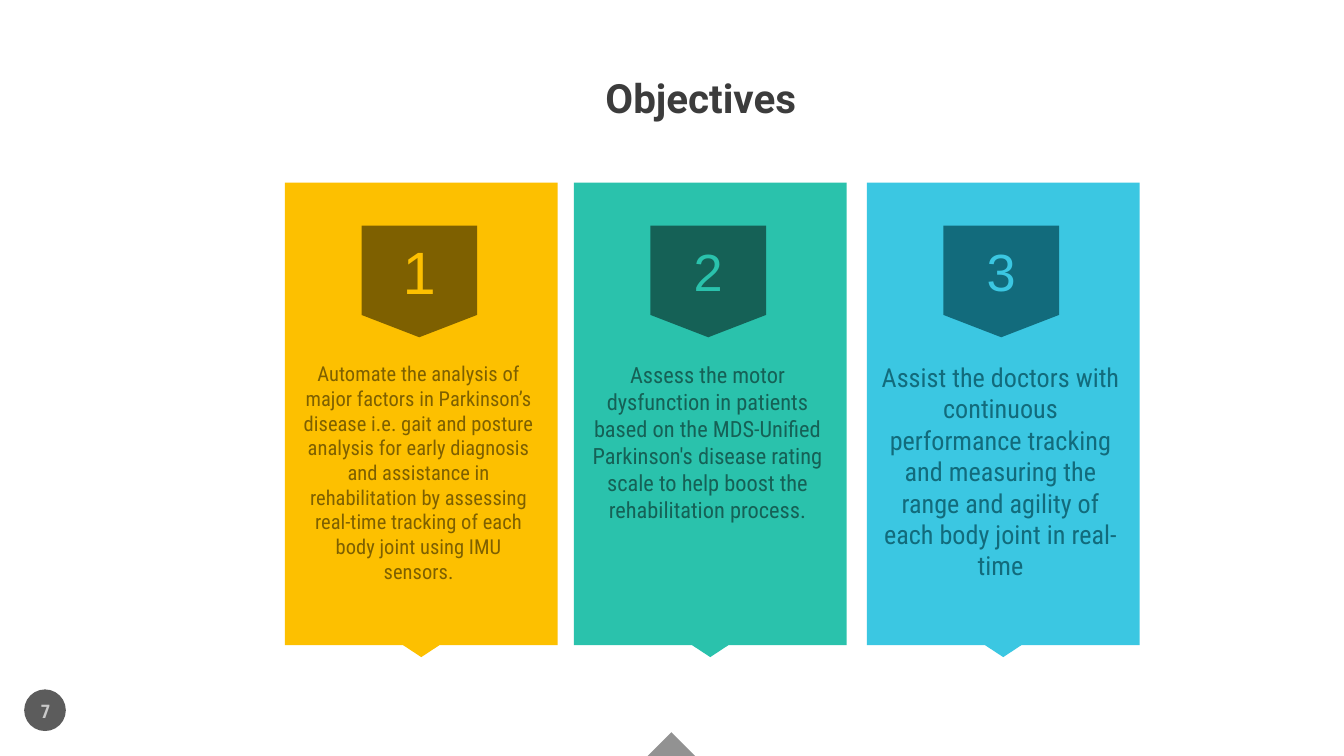
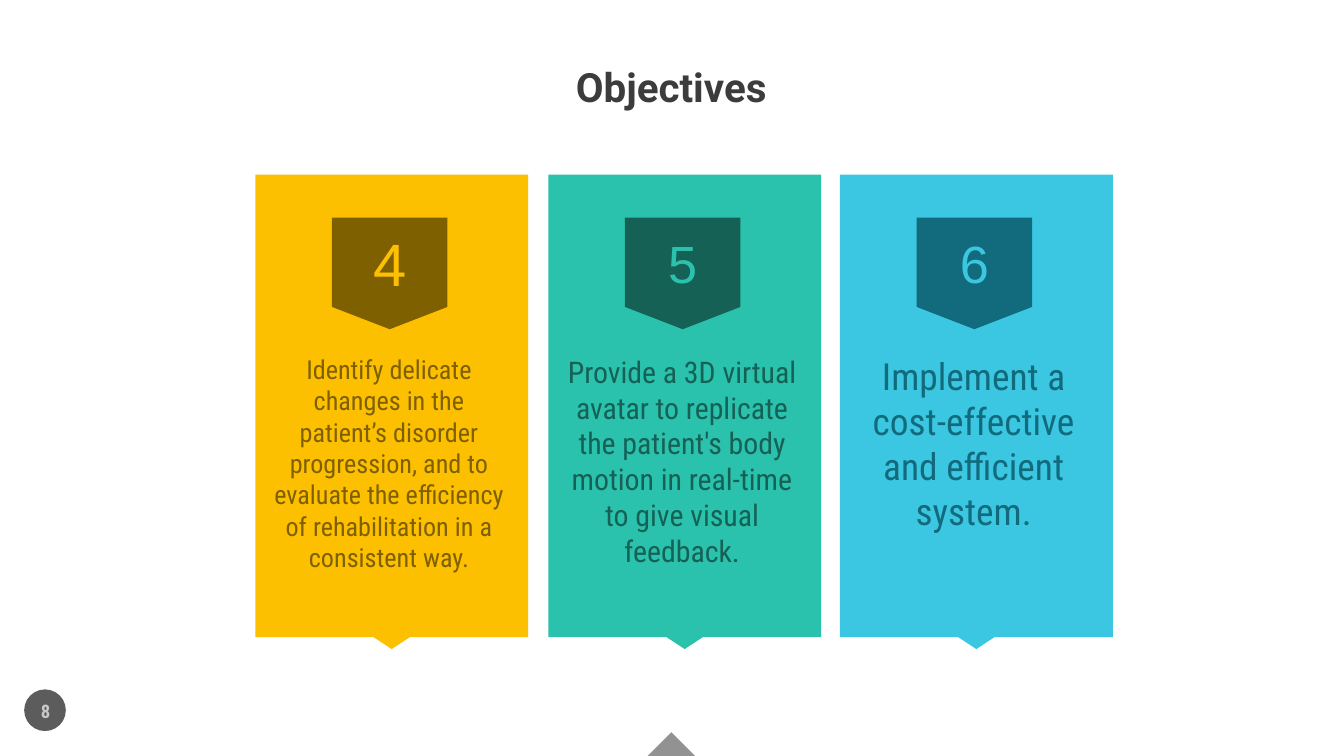
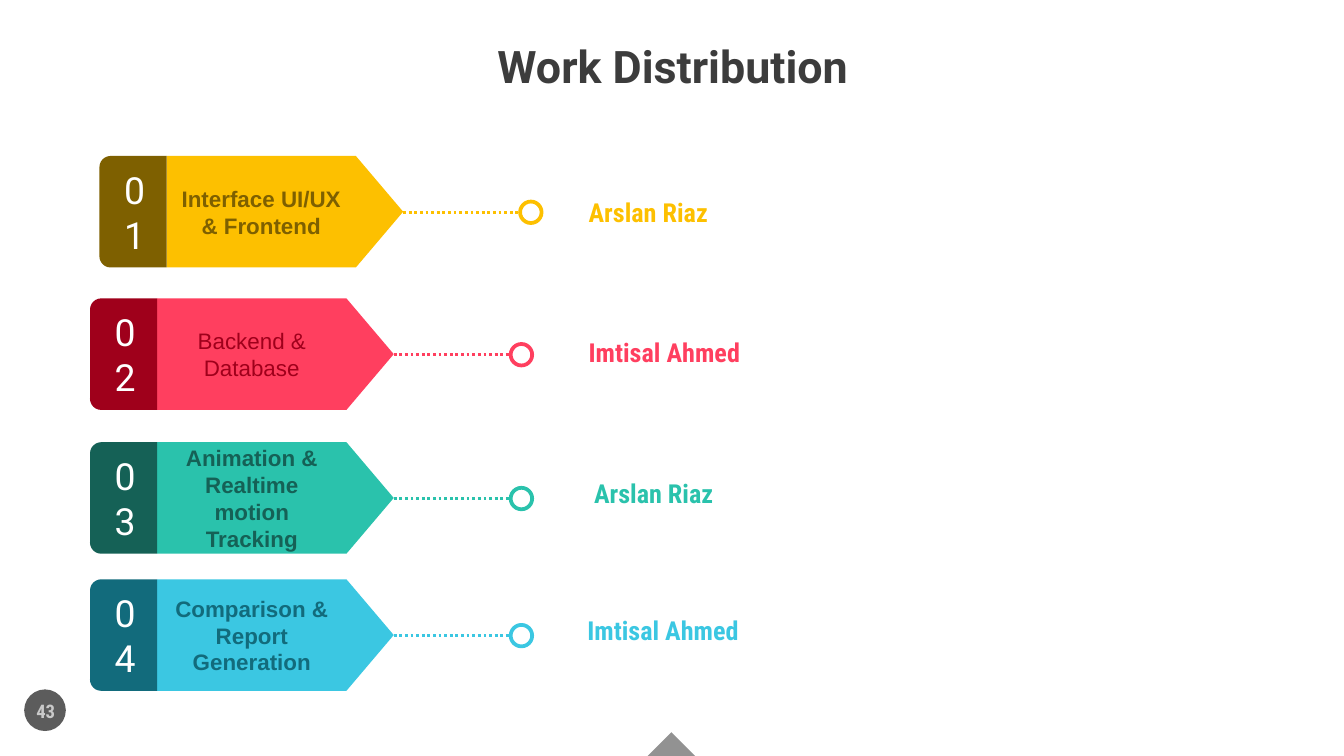
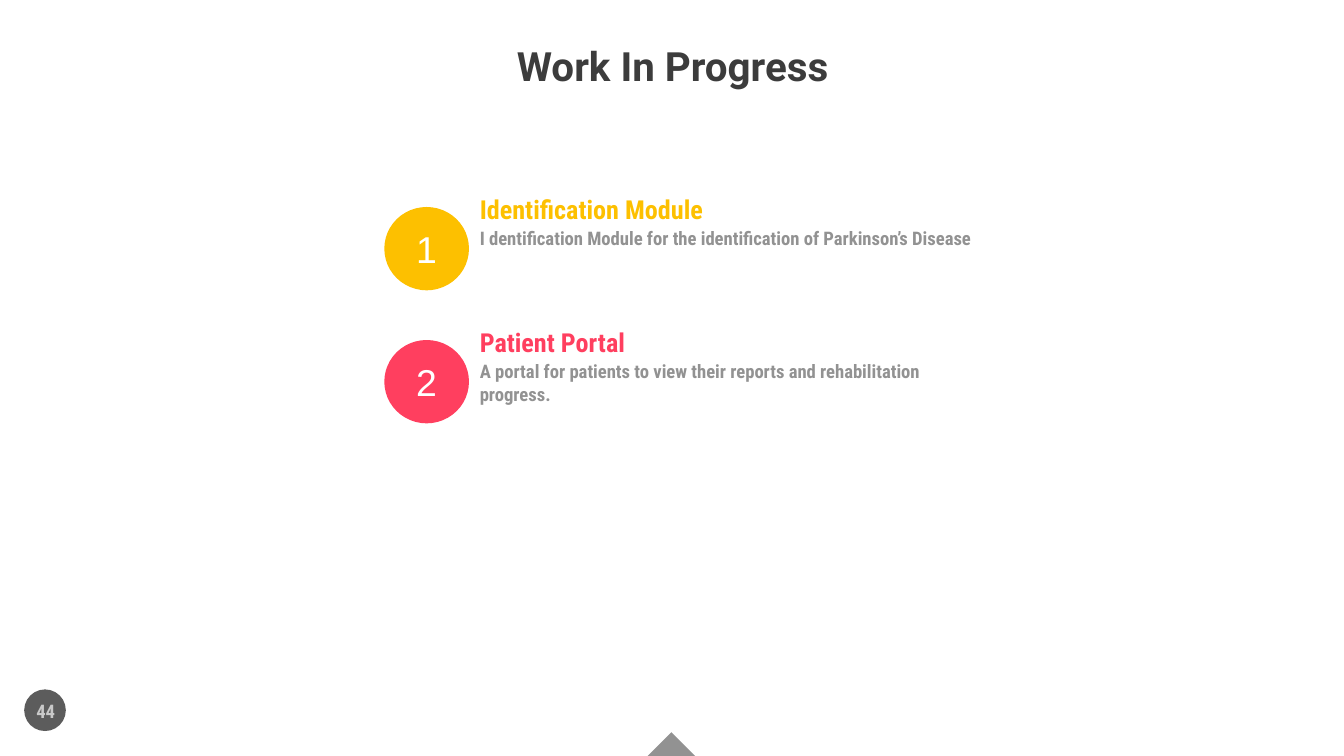
from dataclasses import dataclass
from lxml.etree import SubElement
from pptx import Presentation
from pptx.dml.color import RGBColor
from pptx.enum.dml import MSO_LINE
from pptx.enum.shapes import MSO_CONNECTOR, MSO_SHAPE
from pptx.enum.text import MSO_ANCHOR, MSO_AUTO_SIZE, PP_ALIGN
from pptx.oxml.ns import qn
from pptx.util import Emu, Pt

SCALE = 9144


@dataclass(frozen=True)
class Theme:
    gold: tuple = ("FDC000", "7E6000")
    red: tuple = ("FF3F5F", "9F001B")
    teal: tuple = ("2AC2AC", "156156")
    blue: tuple = ("3BC7E2", "126B7C")
    white: str = "FFFFFF"
    ink: str = "3C3C3C"
    grey: str = "929292"
    disc: str = "5C5C5C"
    pale: str = "C9C9C9"
    head: str = "Roboto"
    body: str = "Roboto Condensed"
    plain: str = "Arial"
    title: float = 21.6
    large: float = 24
    name: float = 14
    digit: float = 20
    label: float = 12
    note: float = 10


T = Theme()


def px(n):
    return Emu(round(n * SCALE))


def color(code):
    return RGBColor.from_string(code)


def write(item, text, size, face, tint, bold=False, align=PP_ALIGN.CENTER,
          anchor=MSO_ANCHOR.MIDDLE, wrap=True, flush=False, grow=False):
    frame = item.text_frame
    frame.word_wrap = wrap
    frame.vertical_anchor = anchor
    frame.auto_size = MSO_AUTO_SIZE.SHAPE_TO_FIT_TEXT if grow else MSO_AUTO_SIZE.NONE
    if flush:
        frame.margin_left = frame.margin_right = 0
        frame.margin_top = frame.margin_bottom = 0
    line = frame.paragraphs[0]
    line.alignment = align
    run = line.add_run()
    run.text = text
    run.font.size = Pt(size)
    run.font.name = face
    run.font.bold = bold
    run.font.color.rgb = color(tint)


def label(slide, box, *words, **style):
    item = slide.shapes.add_textbox(*map(px, box))
    write(item, *words, **style)


def shape(slide, kind, box, fill, edge=None):
    item = slide.shapes.add_shape(kind, *map(px, box))
    item.shadow.inherit = False
    item.fill.solid()
    item.fill.fore_color.rgb = color(fill)
    if edge:
        item.line.color.rgb = color(edge)
        item.line.width = Pt(2)
    else:
        item.line.fill.background()
    return item


def turned(slide, kind, box, fill, *words, **style):
    x, y, w, h = box
    shift = (w - h) / 2
    item = shape(slide, kind, (x + shift, y - shift, h, w), fill)
    item.rotation = 270
    write(item, *words, **style)
    item.text_frame._txBody.bodyPr.set("vert", "vert")


def dots(slide, x, y, end, tint):
    link = slide.shapes.add_connector(MSO_CONNECTOR.STRAIGHT, px(x), px(y), px(end), px(y))
    link.line.color.rgb = color(tint)
    link.line.width = Pt(1.5)
    link.line.dash_style = MSO_LINE.ROUND_DOT
    SubElement(link._element.spPr, qn("a:effectLst"))


def page(deck, number, title, x=192, y=29, size=T.title):
    slide = deck.slides.add_slide(deck.slide_layouts[6])
    shape(slide, MSO_SHAPE.RIGHT_TRIANGLE, (487, 550, 25, 25), T.grey).rotation = 135
    shape(slide, MSO_SHAPE.OVAL, (18, 513, 31, 31), T.disc)
    label(slide, (9, 514, 50, 30), str(number), T.note, T.body, T.pale, bold=True)
    label(slide, (x, y, 617, 39), title, size, T.head, T.ink,
          bold=True, wrap=False, flush=True)
    return slide


def card(slide, x, y, pair, number, digit, text, size, height):
    bright, dark = pair
    panel = shape(slide, MSO_SHAPE.DOWN_ARROW_CALLOUT, (x, y, 203, 353), bright)
    for i, value in enumerate((0.25, 0.067, 0.044, 0.975)):
        panel.adjustments[i] = value
    badge = shape(slide, MSO_SHAPE.FLOWCHART_OFFPAGE_CONNECTOR, (x + 57, y + 32, 86, 83), dark)
    write(badge, str(number), digit, T.plain, bright)
    label(slide, (x + 1, y + 128, 197, height), text, size, T.body, dark,
          anchor=MSO_ANCHOR.TOP, grow=True)


def goals(deck, number, spot, top, first, cards):
    slide = page(deck, number, "Objectives", *spot)
    looks = zip((T.gold, T.teal, T.blue), (32, 28, 28))
    for i, ((pair, digit), (x, *words)) in enumerate(zip(looks, cards)):
        card(slide, x, top, pair, first + i, digit, *words)


def step(slide, x, y, pair, number, task, bold):
    bright, dark = pair
    mid = y + 42
    turned(slide, MSO_SHAPE.FLOWCHART_OFFPAGE_CONNECTOR, (x + 50, y, 176, 83), bright,
           task, T.label, T.plain, dark, bold=bold)
    turned(slide, MSO_SHAPE.ROUND_2_SAME_RECTANGLE, (x, y, 50, 83), dark,
           f"{number:02}", T.digit, T.head, T.white)
    dots(slide, x + 226, mid, x + 313, bright)
    shape(slide, MSO_SHAPE.OVAL, (x + 313, mid - 8, 16, 16), T.white, bright)


def shares(deck, number, steps):
    slide = page(deck, number, "Work Distribution", size=T.large)
    pairs = (T.gold, T.red, T.teal, T.blue)
    for i, (pair, (x, y, task, bold, name, spot)) in enumerate(zip(pairs, steps), 1):
        step(slide, x, y, pair, i, task, bold)
        label(slide, (*spot, 24), name, T.name, T.body, pair[0], bold=True,
              align=PP_ALIGN.LEFT, wrap=False, flush=True, grow=True)


def module(slide, x, y, tint, number, name, width, text):
    disc = shape(slide, MSO_SHAPE.OVAL, (x, y + 10, 63, 62), tint)
    write(disc, str(number), T.digit, T.plain, T.white, flush=True)
    style = dict(bold=True, align=PP_ALIGN.LEFT, anchor=MSO_ANCHOR.TOP, flush=True, grow=True)
    label(slide, (x + 71, y, width, 24), name, T.name, T.body, tint, wrap=False, **style)
    label(slide, (x + 71, y + 25, 369, 34), text, T.note, T.body, T.grey, **style)


def pending(deck, number, modules):
    slide = page(deck, number, "Work In Progress")
    for i, (pair, words) in enumerate(zip((T.gold, T.red), modules)):
        module(slide, 286, 144 + 99 * i, pair[0], i + 1, *words)


def main():
    deck = Presentation()
    deck.slide_width, deck.slide_height = px(1000), px(562.5)
    goals(deck, 7, (213, 53), 136, 1, (
        (212, "Automate the analysis of major factors in Parkinson’s disease i.e. gait and "
         "posture analysis for early diagnosis and assistance in rehabilitation by assessing "
         "real-time tracking of each body joint using IMU sensors.", 11, 195),
        (427, "Assess the motor dysfunction in patients based on the MDS-Unified Parkinson's "
         "disease rating scale to help boost the rehabilitation process.", 12, 151),
        (645, "Assist the doctors with continuous performance tracking and measuring the "
         "range and agility of each body joint in real-time", 14, 199)))
    goals(deck, 8, (191, 45), 130, 4, (
        (190, "Identify delicate changes in the patient’s disorder progression, and to "
         "evaluate the efficiency of rehabilitation in a consistent way.", 14, 199),
        (408, "Provide a 3D virtual avatar to replicate the patient's body motion in "
         "real-time to give visual feedback.", 16, 199),
        (625, "Implement a cost-effective and efficient system.", 20, 145)))
    shares(deck, 43, (
        (74, 116, "Interface UI/UX & Frontend", True, "Arslan Riaz", (438, 146, 107)),
        (67, 222, "Backend & Database", False, "Imtisal Ahmed", (438, 250, 133)),
        (67, 329, "Animation & Realtime motion Tracking", True, "Arslan Riaz", (442, 355, 107)),
        (67, 431, "Comparison & Report Generation", True, "Imtisal Ahmed", (437, 457, 133))))
    pending(deck, 44, (
        ("Identification Module", 195,
         "I dentification Module for the identification of Parkinson’s Disease"),
        ("Patient Portal", 126,
         "A portal for patients to view their reports and rehabilitation progress.")))
    deck.save("out.pptx")


if __name__ == "__main__":
    main()
